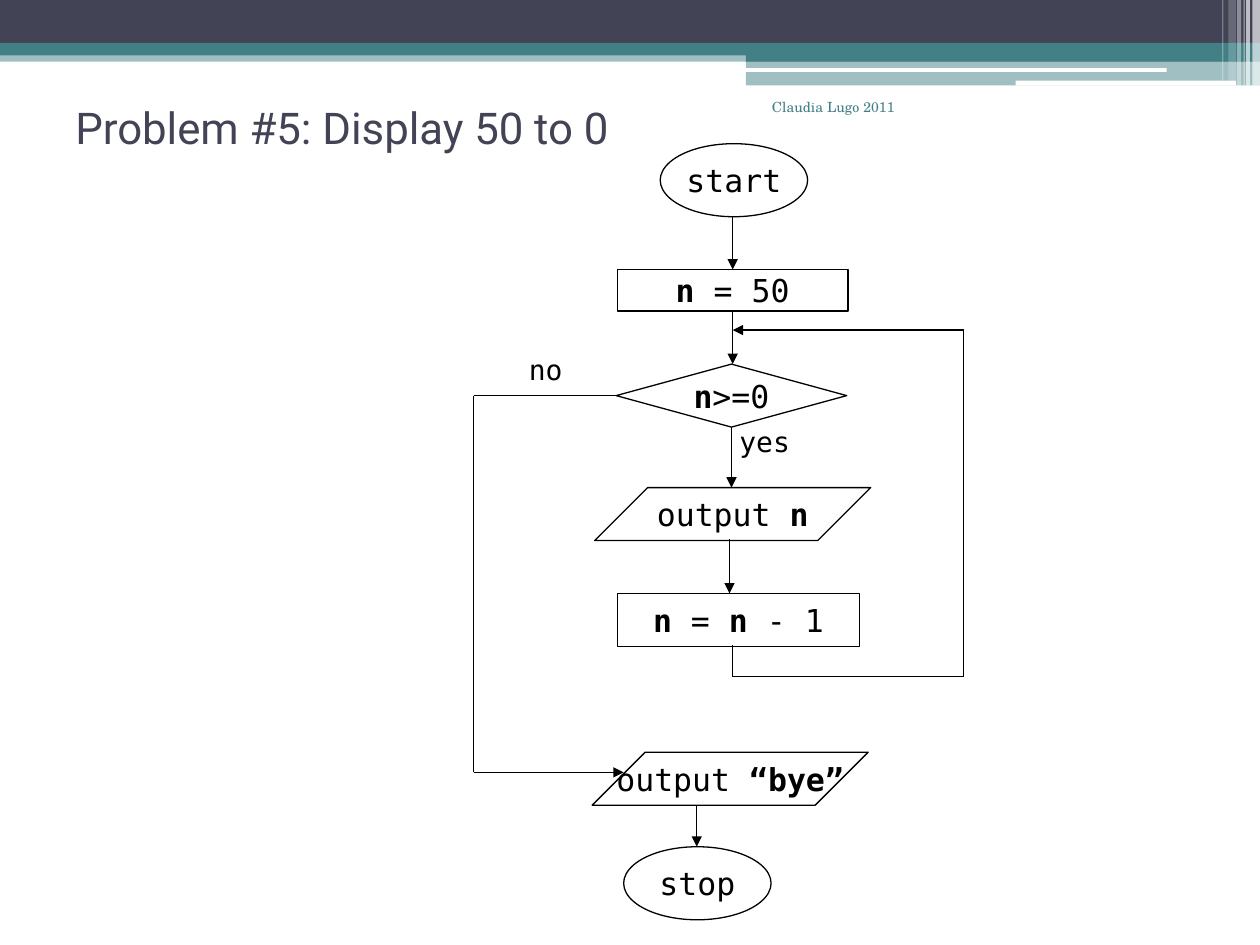
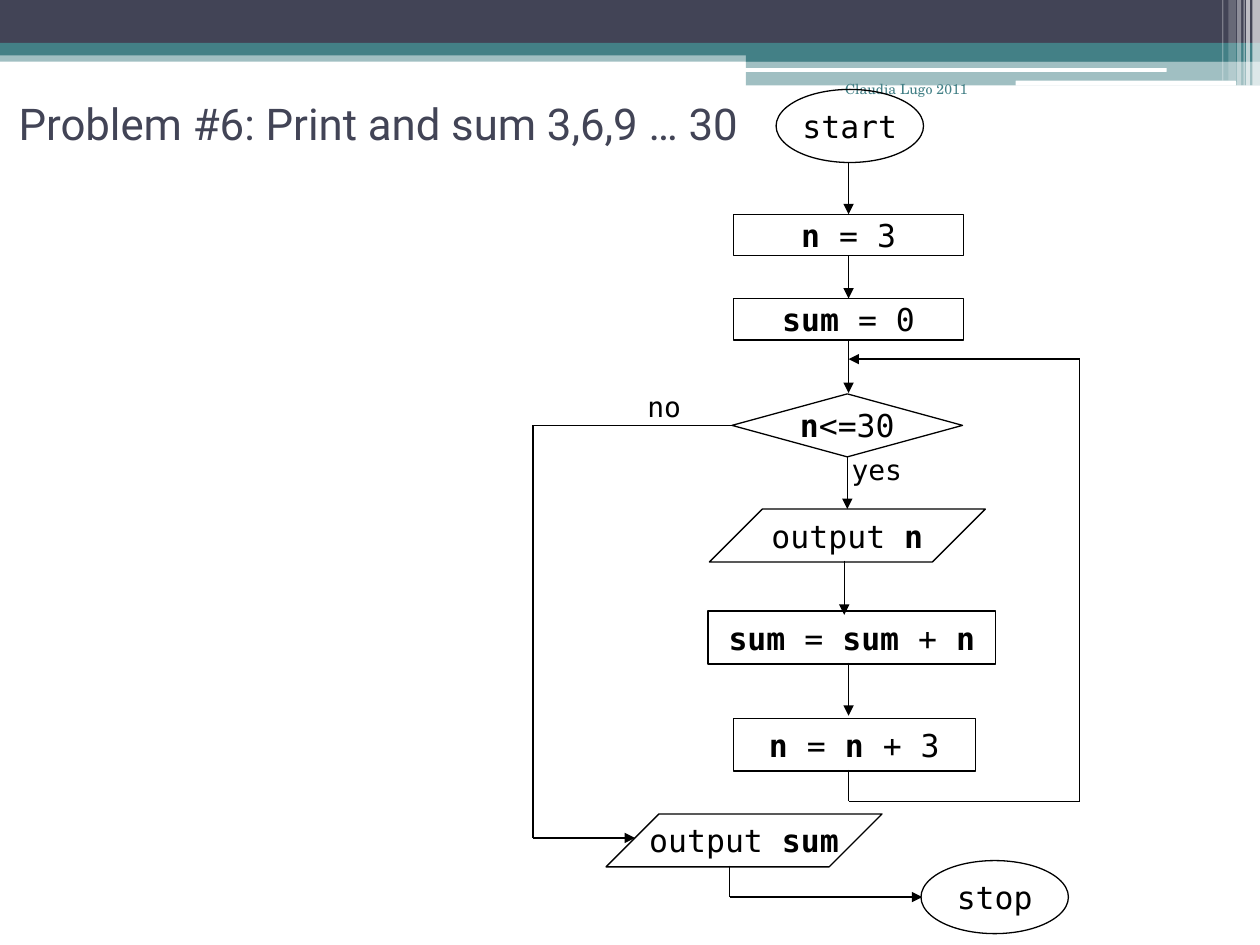
from itertools import pairwise

from lxml import etree
from pptx import Presentation
from pptx.dml.color import RGBColor
from pptx.enum import shapes, text
from pptx.oxml import ns
from pptx.util import Pt

DARK, TEAL, WHITE, BLACK = "424456", "438086", "FFFFFF", "000000"
MONO, SANS, SERIF = "DejaVu Sans Mono", "Roboto", "TeX Gyre Schola"
KIND = shapes.MSO_SHAPE
ALIGN, ANCHOR = text.PP_ALIGN, text.MSO_ANCHOR

BANDS = [
    (0, 28.8, 720, 6.5, TEAL, 50),
    (0, 0, 720, 24.5, DARK, 100),
    (0, 24.5, 720, 7.2, TEAL, 100),
    (426.2, 28.1, 293.8, 7.2, TEAL, 100),
    (426.2, 34.9, 293.8, 14, TEAL, 50),
]
BARS = [(425.5, 38.9, 241.2, 2.2), (580.3, 46.1, 126, 2.9)]
STRIPES = [
    (715.7, 4.3, 49, 65),
    (712.1, 2.2, 49, 65),
    (710.6, 0.7, 49, 60),
    (707, 2.2, 49, 40),
    (702, 4.3, 46.1, 20),
    (698.4, 0.7, 46.1, 30),
]
OVAL = (KIND.OVAL, 84.24, 41.76)
SET = (KIND.RECTANGLE, 131.76, 23.76)
STEP = (KIND.RECTANGLE, 138.24, 30.24)
WIDE = (KIND.RECTANGLE, 164.16, 30.24)
TEST = (KIND.DIAMOND, 131.76, 36)
DATA = (KIND.PARALLELOGRAM, 157.68, 30.24)


def color(code):
    """Turn a hex string into a colour."""
    return RGBColor.from_string(code)


class Deck:
    """Holds the shared style and the current slide."""

    def __init__(self):
        """Start an empty deck."""
        self.prs = Presentation()
        self.prs.slide_width, self.prs.slide_height = Pt(720), Pt(540)

    def page(self, title, left, top, foot):
        """Add a slide with bands, a title and a credit at point foot."""
        self.slide = self.prs.slides.add_slide(self.prs.slide_layouts[6])
        for x, y, w, h, code, alpha in BANDS:
            self.band(KIND.RECTANGLE, x, y, w, h, code, alpha)
        for bar in BARS:
            self.band(KIND.ROUNDED_RECTANGLE, *bar, WHITE)
        for x, w, h, alpha in STRIPES:
            self.band(KIND.RECTANGLE, x, 0, w, h, WHITE, alpha)
        box = self.box(*foot, 104.4, 36)
        self.letter(box, "Claudia Lugo 2011", 8, SERIF, TEAL, ALIGN.RIGHT)
        box = self.box(left, top, 648, 39.6)
        self.letter(box, title, 25, SANS, DARK, anchor=ANCHOR.MIDDLE)

    def shape(self, kind, *place):
        """Add a preset shape without shadow."""
        item = self.slide.shapes.add_shape(kind, *map(Pt, place))
        item.shadow.inherit = False
        return item

    def band(self, kind, x, y, w, h, code, alpha=100):
        """Add a filled shape with the given opacity in percent."""
        item = self.shape(kind, x, y, w, h)
        item.line.fill.background()
        item.fill.solid()
        item.fill.fore_color.rgb = color(code)
        if alpha < 100:
            tone = item.fill._xPr.find(".//" + ns.qn("a:srgbClr"))
            etree.SubElement(tone, ns.qn("a:alpha"), val=str(alpha * 1000))

    def box(self, *place):
        """Add an empty text box."""
        return self.slide.shapes.add_textbox(*map(Pt, place))

    def letter(self, item, words, size, font, code, align=ALIGN.LEFT,
               anchor=ANCHOR.TOP, wrap=True):
        """Set words run by run, bold between asterisks."""
        frame = item.text_frame
        frame.word_wrap, frame.vertical_anchor = wrap, anchor
        para = frame.paragraphs[0]
        para.alignment = align
        for i, part in enumerate(words.split("*")):
            if part:
                run = para.add_run()
                run.text = part
                run.font.size, run.font.name = Pt(size), font
                run.font.bold = i % 2 == 1
                run.font.color.rgb = color(code)

    def node(self, form, mid, top, words):
        """Add a flowchart symbol centred on mid."""
        kind, w, h = form
        item = self.shape(kind, mid - w / 2, top, w, h)
        item.fill.background()
        item.line.color.rgb, item.line.width = color(BLACK), Pt(0.75)
        if kind == KIND.PARALLELOGRAM:
            item.adjustments[0] = 1
        self.letter(item, words, 18, MONO, BLACK, ALIGN.CENTER, ANCHOR.MIDDLE, False)
        return item

    def label(self, x, y, words):
        """Name a branch."""
        item = self.box(x, y, 33.84 if words == "no" else 43.92, 26.64)
        self.letter(item, words, 16, MONO, BLACK, wrap=False)
        item.text_frame.auto_size = text.MSO_AUTO_SIZE.SHAPE_TO_FIT_TEXT

    def flow(self, *spots, start=None, end=None):
        """Join the spots by straight lines, with an arrowhead on the last."""
        for a, b in pairwise(spots):
            link = self.slide.shapes.add_connector(
                shapes.MSO_CONNECTOR.STRAIGHT, *map(Pt, a + b))
            link.line.color.rgb, link.line.width = color(BLACK), Pt(0.75)
            if start and a == spots[0]:
                link.begin_connect(*start)
            if b == spots[-1]:
                etree.SubElement(link.line._get_or_add_ln(),
                                 ns.qn("a:tailEnd"), type="triangle")
                if end:
                    link.end_connect(*end)
            etree.SubElement(link._element.spPr, ns.qn("a:effectLst"))

    def down(self, x, top, low, **ends):
        """Draw a vertical arrow."""
        self.flow((x, top), (x, low), **ends)

    def loop(self, x, low, high, side):
        """Draw the way back from below the last step to above the test."""
        self.flow((x, low), (x, low + 18), (side, low + 18), (side, high), (x, high))

    def leave(self, test, x, y, side, low, tip):
        """Draw the way out from the left of the test."""
        self.flow((x, y), (side, y), (side, low), (tip, low), start=(test, 1))


def count(deck):
    """Build the countdown chart."""
    deck.page("Problem #5: Display 50 to 0", 36, 52.56, (414, 52.56))
    axis = 418.68
    deck.node(OVAL, 419.4, 82.08, "start")
    first = deck.node(SET, axis, 154.08, "*n* = 50")
    test = deck.node(TEST, 418, 208.08, "*n*>=0")
    deck.node(DATA, axis, 278.64, "output *n*")
    deck.node(STEP, 421.92, 339.12, "*n* = *n* - 1")
    deck.node(DATA, 417.24, 429.84, "output *“bye”*")
    deck.node(OVAL, 398.52, 483.84, "stop")
    deck.down(axis, 123.84, 154.08, end=(first, 0))
    deck.down(axis, 177.84, 208.08, start=(first, 2))
    deck.down(418, 244.08, 278.64, start=(test, 2))
    deck.down(416.88, 308.16, 339.12)
    deck.down(398.16, 460.08, 483.84)
    deck.loop(axis, 368.64, 188.64, 550.8)
    deck.leave(test, 352.12, 226.08, 270.72, 441.36, 356.4)
    deck.label(295.2, 198, "no")
    deck.label(415.44, 239.04, "yes")


def total(deck):
    """Build the chart of the running sum."""
    deck.page("Problem #6: Print and sum 3,6,9 … 30", 3.6, 50.4, (455.76, 42.48))
    axis = 484.92
    deck.node(OVAL, 485.64, 51.12, "start")
    first = deck.node(SET, axis, 122.4, "*n* = 3")
    zero = deck.node(SET, axis, 170.64, "*sum* = 0")
    test = deck.node(TEST, 484.2, 225.1, "*n*<=30")
    deck.node(DATA, 484.2, 290.88, "output *n*")
    deck.node(WIDE, 486.72, 349.2, "*sum* = *sum* + *n*")
    deck.node(STEP, 488.16, 410.4, "*n* = *n* + 3")
    deck.node(DATA, 425.16, 465.12, "output *sum*")
    deck.node(OVAL, 568.44, 491.76, "stop")
    deck.down(axis, 92.88, 122.4, end=(first, 0))
    deck.down(axis, 146.16, 170.64, start=(first, 2), end=(zero, 0))
    deck.down(axis, 194.4, 224.64, start=(zero, 2))
    deck.down(484.2, 261.1, 290.88, start=(test, 2))
    deck.down(482.4, 320.4, 351.36)
    deck.down(axis, 378.72, 408.96)
    deck.loop(axis, 439.92, 205.2, 617.04)
    deck.leave(test, 418.32, 243.1, 304.56, 478.8, 362.88)
    deck.flow((416.88, 494.64), (416.88, 512.64), (527.04, 512.64))
    deck.label(362.88, 218.88, "no")
    deck.label(479.52, 254.88, "yes")


def main():
    """Build and save the deck."""
    deck = Deck()
    count(deck)
    total(deck)
    deck.prs.save("out.pptx")


if __name__ == "__main__":
    main()
